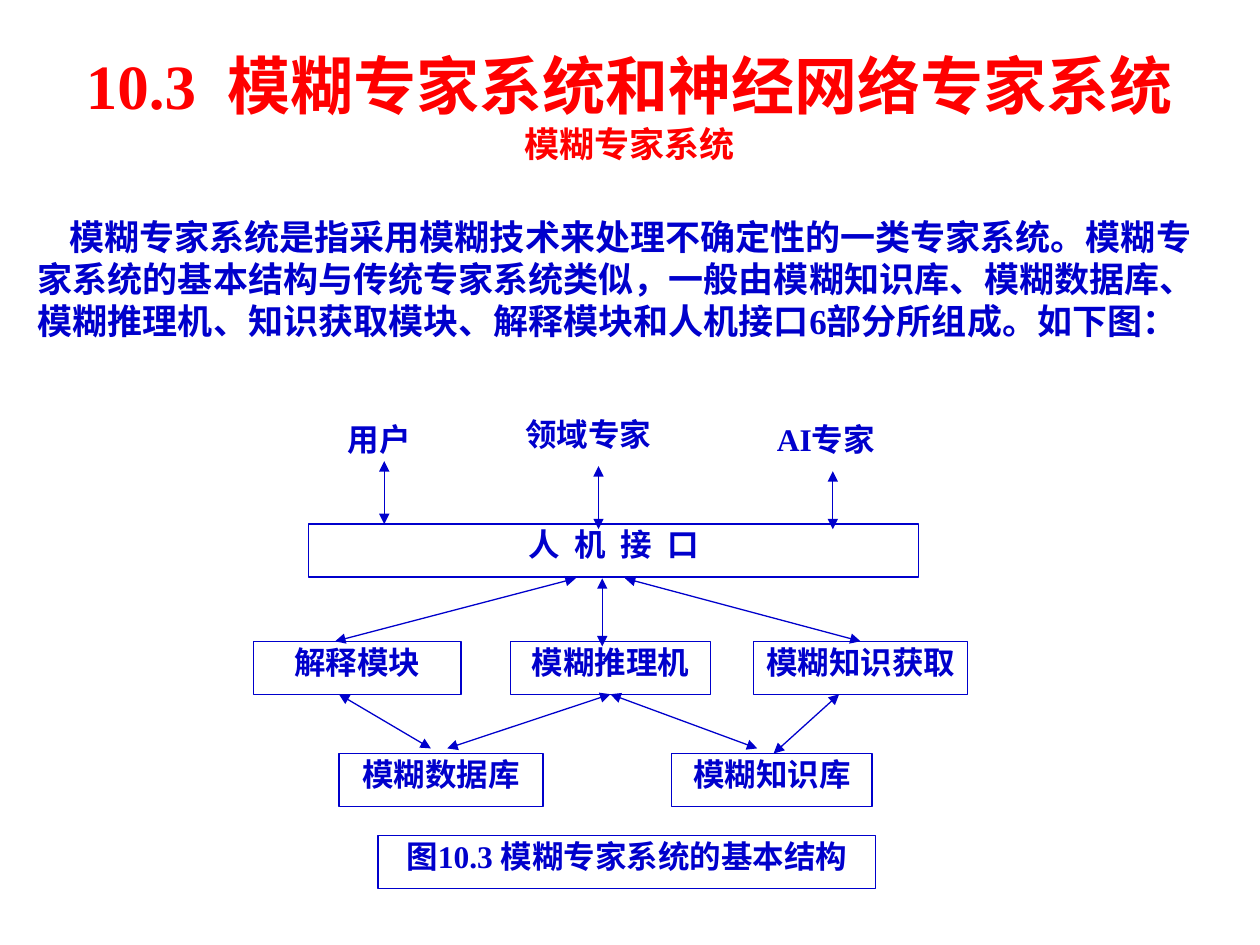
from lxml import etree
from pptx import Presentation
from pptx.dml.color import RGBColor
from pptx.enum.shapes import MSO_CONNECTOR, MSO_SHAPE
from pptx.enum.text import MSO_ANCHOR, PP_ALIGN
from pptx.oxml.ns import qn
from pptx.util import Inches, Pt

RECTANGLE, STRAIGHT = MSO_SHAPE.RECTANGLE, MSO_CONNECTOR.STRAIGHT
TOP, CENTER, LEFT = MSO_ANCHOR.TOP, PP_ALIGN.CENTER, PP_ALIGN.LEFT
TOP_SIDE, BOTTOM_SIDE = 0, 2
RED, BLUE, WHITE = "FF0000", "0000CC", "FFFFFF"

# Content: a span is (text, extra letter spacing in points)
TITLE = [("10.3", 0), (" ", 9), ("模糊专家系统和神经网络专家系统", 0)]
SUBTITLE = [("模糊专家系统", 0)]
BODY = [("模糊专家系统是指采用模糊技术来处理不确定性的一类专家系统。"
         "模糊专家系统的基本结构与传统专家系统类似，一般由模糊知识库、"
         "模糊数据库、模糊推理机、知识获取模块、解释模块和人机接口6部分所组成。"
         "如下图：", 0)]

# Labels without a frame: text, left, top, width, alignment
USERS = [
    ("用户", 2.74, 3.32, 0.68, LEFT),
    ("领域专家", 4.15, 3.28, 1.18, LEFT),
    ("AI专家", 6.06, 3.32, 0.99, CENTER),
]
# Framed boxes by row: top, then (text, left, width, letter spacing)
ROWS = [
    (4.16, [("人 机 接 口", 2.45, 4.84, 2.25)]),
    (5.09, [("解释模块", 2.01, 1.65, 0), ("模糊推理机", 4.05, 1.59, 0),
            ("模糊知识获取", 5.98, 1.7, 0)]),
    (5.98, [("模糊数据库", 2.69, 1.62, 0), ("模糊知识库", 5.33, 1.59, 0)]),
    (6.63, [("图10.3 模糊专家系统的基本结构", 3, 3.95, 0)]),
]
BOX_HEIGHT = 0.42

# Arrows: start, end, joined start, joined end
ENGINE_BOTTOM = ("模糊推理机", BOTTOM_SIDE)
ARROWS = [
    ((3.05, 3.66), (3.05, 4.16), None, None),
    ((4.75, 3.7), (4.75, 4.2), None, None),
    ((6.61, 3.74), (6.61, 4.2), None, None),
    ((4.57, 4.59), (2.66, 5.09), None, None),
    ((4.78, 4.59), (4.78, 5.13), None, None),
    ((4.96, 4.59), (6.79, 5.09), None, ("模糊知识获取", TOP_SIDE)),
    ((2.69, 5.51), (3.42, 5.94), None, None),
    ((4.84, 5.51), (3.55, 5.94), ENGINE_BOTTOM, None),
    ((6.66, 5.51), (6.14, 5.98), None, None),
    ((4.84, 5.51), (6.01, 5.94), ENGINE_BOTTOM, None),
]


def color(hex_text):
    return RGBColor.from_string(hex_text)


def place(shape, left, top, width, height):
    area = {"left": left, "top": top, "width": width, "height": height}
    for name, value in area.items():
        setattr(shape, name, Inches(value))


def set_frame(frame, side, edge):
    values = {"word_wrap": True, "vertical_anchor": TOP,
              "margin_left": Inches(side), "margin_right": Inches(side),
              "margin_top": Inches(edge), "margin_bottom": Inches(edge)}
    for name, value in values.items():
        setattr(frame, name, value)


def write(para, spans, size, hex_text, align):
    values = {"alignment": align, "space_before": Pt(0), "line_spacing": 1.0}
    for name, value in values.items():
        setattr(para, name, value)
    for text, spacing in spans:
        span = para.add_run()
        span.text = text
        font_values = {"name": "Times New Roman", "size": Pt(size), "bold": True}
        for name, value in font_values.items():
            setattr(span.font, name, value)
        span.font.color.rgb = color(hex_text)
        if spacing:
            span.font._element.set("spc", str(round(spacing * 100)))


def add_box(page, text, left, top, width, align=CENTER, spacing=0, framed=True):
    box = page.shapes.add_shape(RECTANGLE, Inches(left), Inches(top),
                                Inches(width), Inches(BOX_HEIGHT))
    box.shadow.inherit = False
    box.fill.solid()
    box.fill.fore_color.rgb = color(WHITE)
    if framed:
        box.line.color.rgb = color(BLUE)
        box.line.width = Pt(0.75)
    else:
        box.line.fill.background()
    set_frame(box.text_frame, 0.02, 0.01)
    write(box.text_frame.paragraphs[0], [(text, spacing)], 18, BLUE, align)
    return box


def add_arrow(page, start, end, start_join, end_join, boxes):
    points = [Inches(value) for value in start + end]
    arrow = page.shapes.add_connector(STRAIGHT, *points)
    arrow.line.color.rgb = color(BLUE)
    arrow.line.width = Pt(0.75)
    for tag in ("a:headEnd", "a:tailEnd"):
        etree.SubElement(arrow.line._ln, qn(tag), type="triangle")
    etree.SubElement(arrow._element.spPr, qn("a:effectLst"))
    if start_join:
        arrow.begin_connect(boxes[start_join[0]], start_join[1])
    if end_join:
        arrow.end_connect(boxes[end_join[0]], end_join[1])


def main():
    deck = Presentation()
    deck.slide_width, deck.slide_height = Inches(10), Inches(7.5)
    page = deck.slides.add_slide(deck.slide_layouts[1])

    # Title and subtitle
    title = page.shapes.title
    place(title, 0.27, 0.32, 9.45, 1.04)
    set_frame(title.text_frame, 0.1, 0.05)
    write(title.text_frame.paragraphs[0], TITLE, 36, RED, CENTER)
    write(title.text_frame.add_paragraph(), SUBTITLE, 20, RED, CENTER)

    # Body paragraph with an indented first line and no bullet
    body = page.placeholders[1]
    place(body, 0.2, 1.66, 9.57, 1.1)
    set_frame(body.text_frame, 0.1, 0.05)
    para = body.text_frame.paragraphs[0]
    write(para, BODY, 20, BLUE, LEFT)
    layout = para._p.get_or_add_pPr()
    layout.set("marL", "0")
    layout.set("indent", str(Inches(0.25)))
    etree.SubElement(layout, qn("a:buNone"))

    # Structure diagram
    for text, left, top, width, align in USERS:
        add_box(page, text, left, top, width, align, framed=False)
    boxes = {}
    for top, row in ROWS:
        for text, left, width, spacing in row:
            boxes[text] = add_box(page, text, left, top, width, spacing=spacing)
    for arrow in ARROWS:
        add_arrow(page, *arrow, boxes)

    deck.save("out.pptx")


if __name__ == "__main__":
    main()
